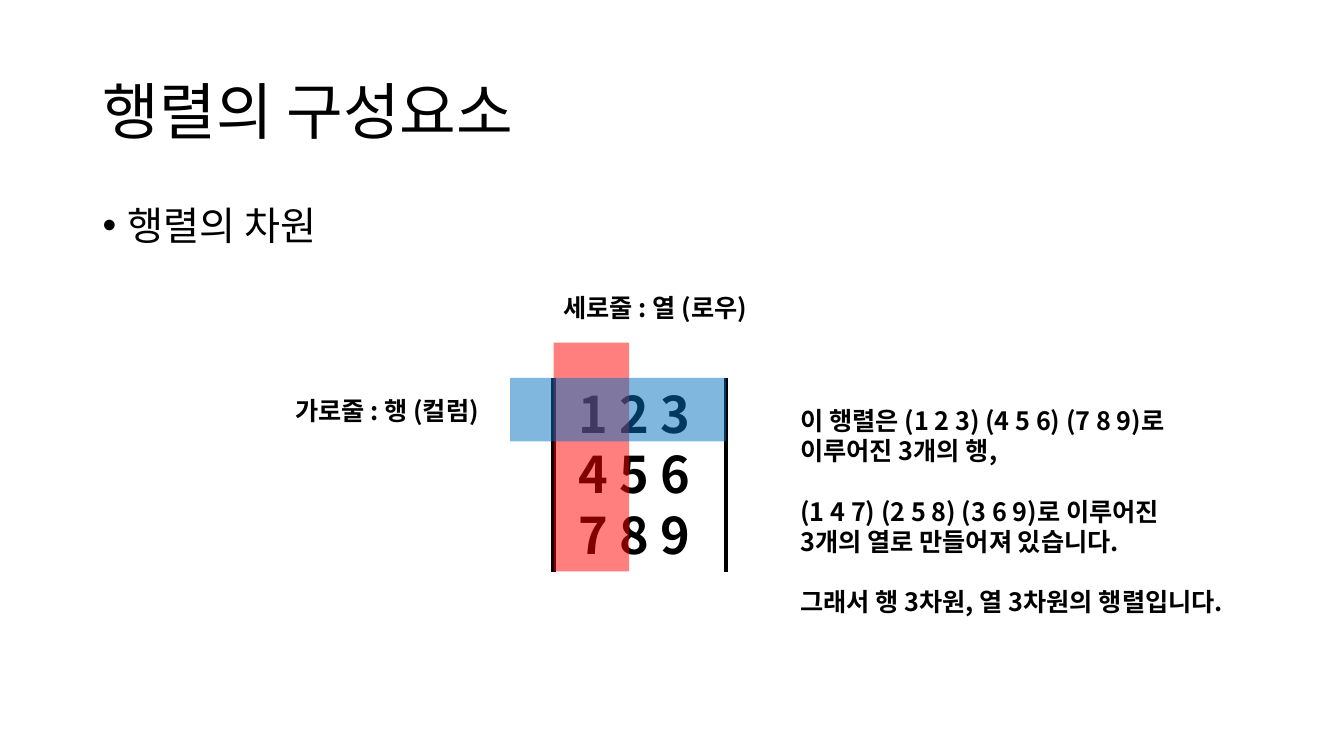
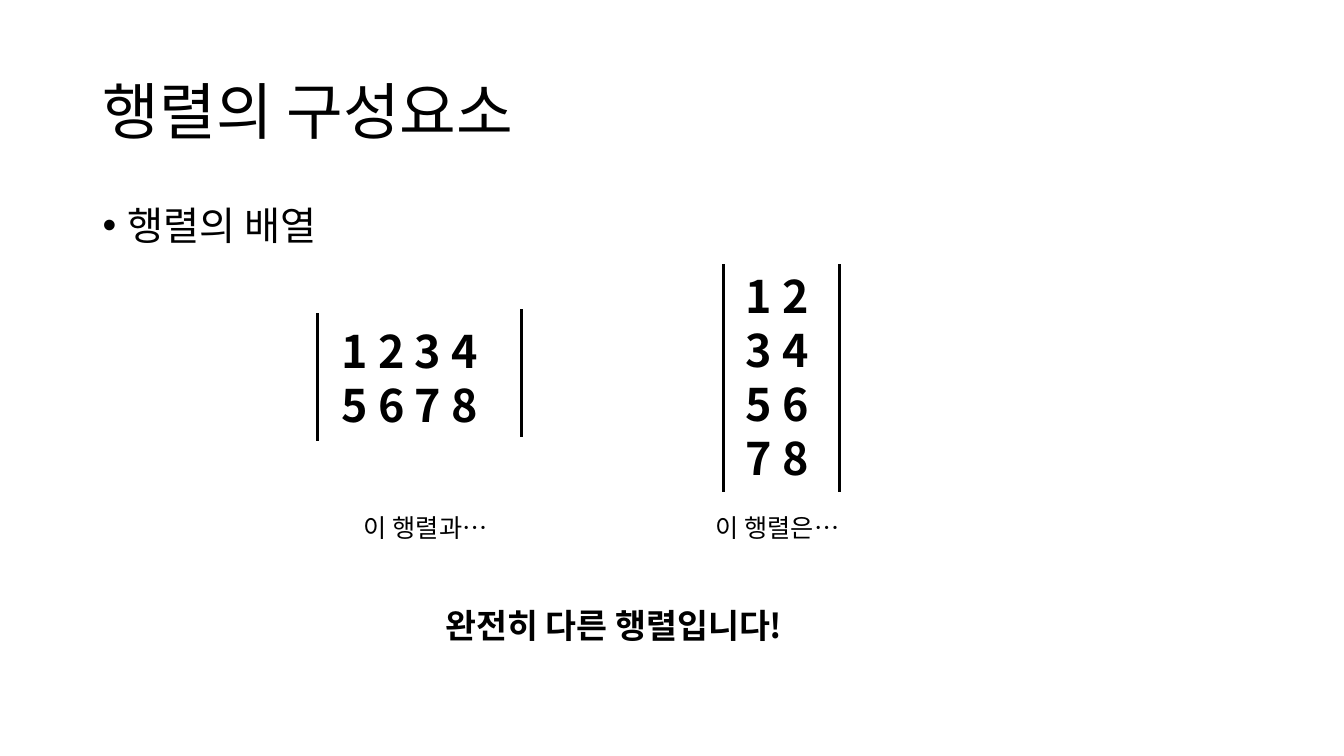
import dataclasses

import lxml.etree
import pptx
import pptx.dml.color
import pptx.enum.shapes
import pptx.enum.text
import pptx.oxml.ns
import pptx.util

Inches = pptx.util.Inches
Pt = pptx.util.Pt
qn = pptx.oxml.ns.qn


@dataclasses.dataclass(frozen=True)
class Theme:
    font: str = "Noto Sans CJK KR"
    ink: str = "000000"
    row_tint: str = "0070C0"
    column_tint: str = "FF0000"
    tint_opacity: int = 50000
    title: int = 44
    body: int = 28
    matrix: int = 36
    small_matrix: int = 32
    conclusion: int = 24
    label: int = 18
    leading: float = 1.2
    tight_leading: float = 1.08


THEME = Theme()


def add_text(page, at, lines, size, bold=False, leading=THEME.leading):
    """Add one paragraph per line and return the text frame."""
    box = page.shapes.add_textbox(*map(Inches, at))
    frame = box.text_frame
    frame.word_wrap = True
    frame.text = "\n".join(lines)
    for para in frame.paragraphs:
        para.line_spacing = Pt(round(size * leading, 1))
        para.font.size = Pt(size)
        para.font.bold = bold
        para.font.name = THEME.font
        para.font.color.rgb = pptx.dml.color.RGBColor.from_string(THEME.ink)
        # Korean text takes its typeface from the East Asian slot.
        latin = para._p.pPr.find(qn("a:defRPr")).find(qn("a:latin"))
        east_asian = lxml.etree.Element(qn("a:ea"), typeface=THEME.font)
        latin.addnext(east_asian)
    return frame


def add_bars(page, bars, width):
    """Draw vertical matrix bars given as (x, top, bottom)."""
    for x, top, bottom in bars:
        bar = page.shapes.add_connector(
            pptx.enum.shapes.MSO_CONNECTOR.STRAIGHT,
            Inches(x), Inches(top), Inches(x), Inches(bottom))
        bar.line.width = Pt(width)
        bar.line.color.rgb = pptx.dml.color.RGBColor.from_string(THEME.ink)
        lxml.etree.SubElement(bar._element.spPr, qn("a:effectLst"))


deck = pptx.Presentation()
deck.slide_width = Inches(13.33)
deck.slide_height = Inches(7.5)

pages = []
for topic in ("행렬의 차원", "행렬의 배열"):
    page = deck.slides.add_slide(deck.slide_layouts[6])
    pages.append(page)
    title = add_text(page, (0.92, 0.4, 11.5, 1.45), ["행렬의 구성요소"],
                     THEME.title, leading=THEME.tight_leading)
    title.vertical_anchor = pptx.enum.text.MSO_ANCHOR.MIDDLE
    body = add_text(page, (0.92, 2, 11.5, 0.6), [topic],
                    THEME.body, leading=THEME.tight_leading)
    settings = body.paragraphs[0]._p.pPr
    settings.set("marL", str(Inches(0.25)))
    settings.set("indent", str(-Inches(0.25)))
    font_settings = settings.find(qn("a:defRPr"))
    for tag, name, value in (("a:buFont", "typeface", "Arial"),
                             ("a:buChar", "char", "•")):
        font_settings.addprevious(
            lxml.etree.Element(qn(tag), {name: value}))

dimension_page, arrangement_page = pages

# Rows and columns of one matrix
left, right, top, bottom = 5.49, 7.2, 3.75, 5.67
add_bars(dimension_page, [(x, top, bottom) for x in (left, right)], 3)
add_text(dimension_page, (5.64, top, 4.65, bottom - top),
         ["1 2 3", "4 5 6", "7 8 9"], THEME.matrix, bold=True)

for at, tint in (((left, 3.4, 0.75, 2.27), THEME.column_tint),
                 ((5.06, top, 2.14, 0.63), THEME.row_tint)):
    highlight = dimension_page.shapes.add_shape(
        pptx.enum.shapes.MSO_SHAPE.RECTANGLE, *map(Inches, at))
    highlight.shadow.inherit = False
    highlight.line.fill.background()
    highlight.fill.solid()
    highlight.fill.fore_color.rgb = pptx.dml.color.RGBColor.from_string(tint)
    colour = highlight._element.spPr.find(qn("a:solidFill"))[0]
    lxml.etree.SubElement(colour, qn("a:alpha"), val=str(THEME.tint_opacity))

for at, label in (((2.83, 3.87, 2.4, 0.4), "가로줄 : 행 (컬럼)"),
                  ((left, 2.85, 2.4, 0.4), "세로줄 : 열 (로우)")):
    add_text(dimension_page, at, [label], THEME.label, bold=True)

explanation = add_text(
    dimension_page, (7.84, 3.97, 4.84, 2.22),
    ["이 행렬은 (1 2 3) (4 5 6) (7 8 9)로",
     "이루어진 3개의 행,",
     "(1 4 7) (2 5 8) (3 6 9)로 이루어진",
     "3개의 열로 만들어져 있습니다.",
     "그래서 행 3차원, 열 3차원의 행렬입니다."],
    THEME.label, bold=True)
for index in (2, 4):
    explanation.paragraphs[index].space_before = Pt(21.6)

# Two arrangements of the same numbers
for at, rows in (((3.29, 3.16, 2.62, 1.18), ["1 2 3 4", "5 6 7 8"]),
                 ((7.3, 2.62, 1.66, 2.26), ["1 2", "3 4", "5 6", "7 8"])):
    add_text(arrangement_page, at, rows, THEME.small_matrix, bold=True)

add_bars(arrangement_page,
         [(3.15, 3.11, 4.38), (5.17, 3.07, 4.34),
          (7.18, 2.62, 4.88), (8.33, 2.62, 4.88)], 2.25)

for x, caption in ((3.51, "이 행렬과…"), (7, "이 행렬은…")):
    add_text(arrangement_page, (x, 5.03, 1.49, 0.4), [caption], THEME.label)
add_text(arrangement_page, (4.32, 5.95, 4, 0.5),
         ["완전히 다른 행렬입니다!"], THEME.conclusion, bold=True)

deck.save("out.pptx")
